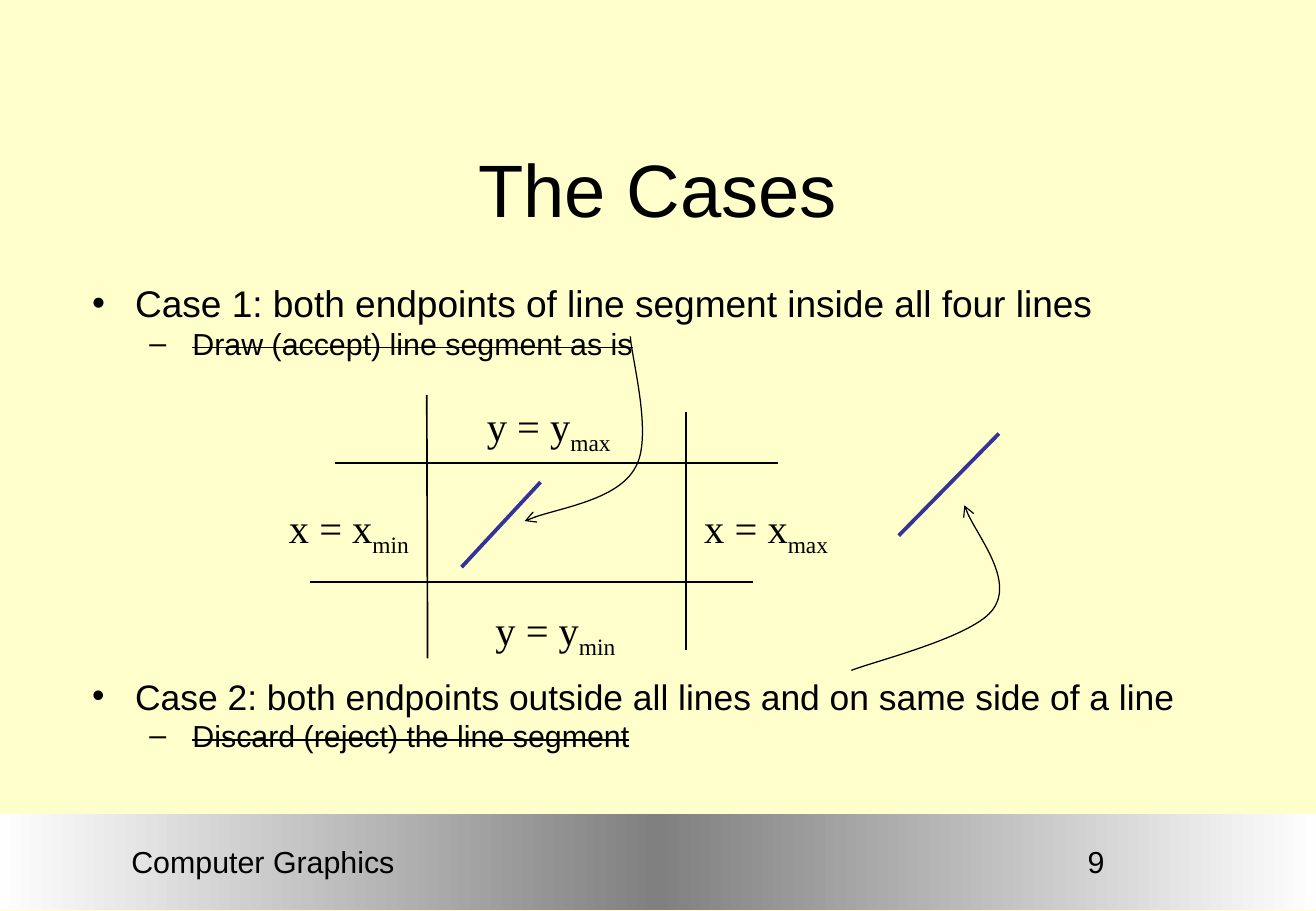
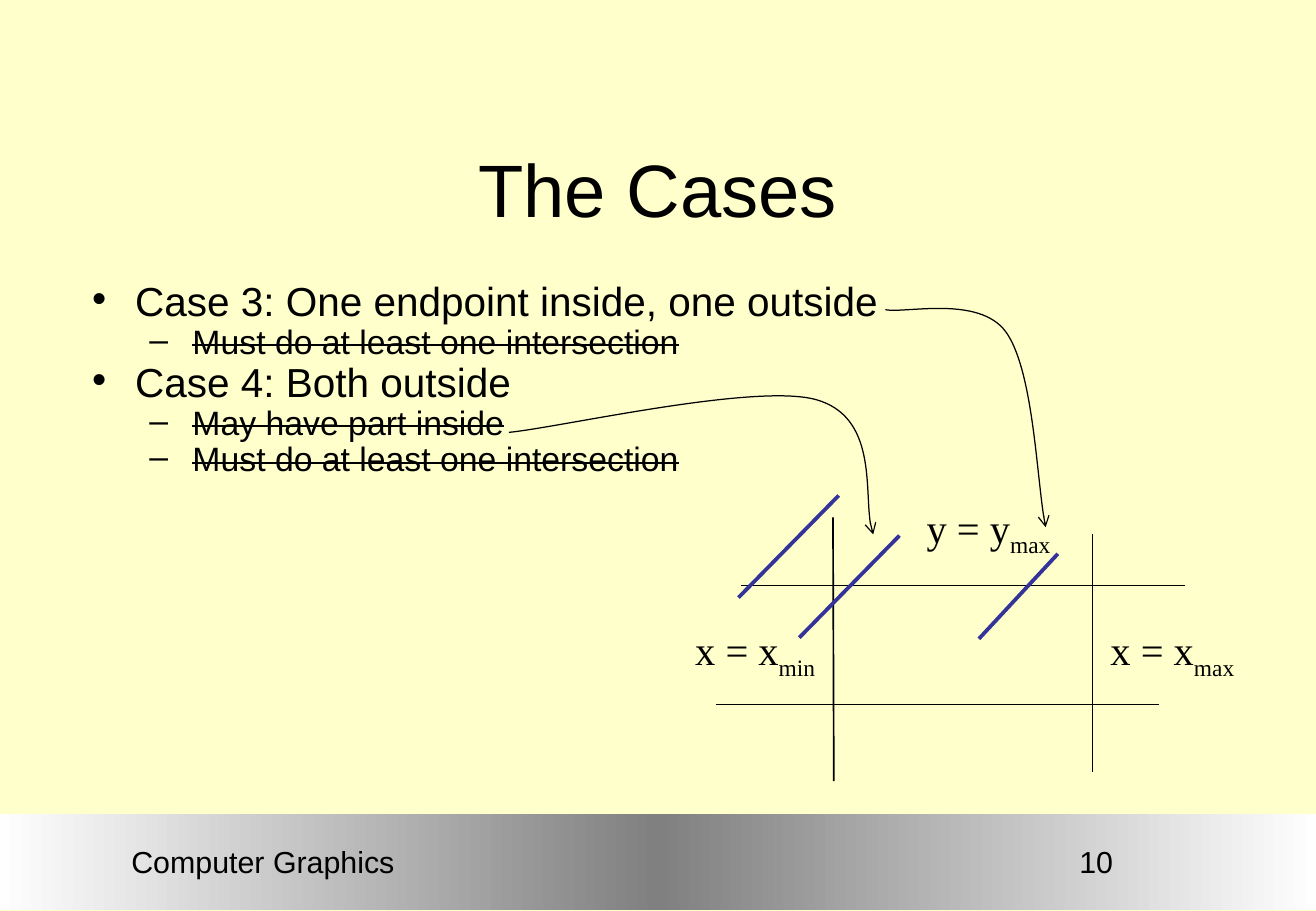
"""Builds two slides on the four cases of clipping a line segment to a window."""
from lxml.etree import SubElement
from copy import deepcopy
from pptx import Presentation
from pptx.dml.color import RGBColor
from pptx.enum.shapes import MSO_CONNECTOR, MSO_SHAPE
from pptx.enum.text import MSO_ANCHOR, MSO_AUTO_SIZE, PP_ALIGN
from pptx.oxml.ns import qn
from pptx.util import Pt

COLORS = {"paper": "FFFFCC", "ink": "000000", "segment": "333399",
          "band_edge": "FEFEFE", "band_middle": "808080"}
RGB = {name: RGBColor.from_string(value) for name, value in COLORS.items()}
SANS, SERIF = "Arial", "Times New Roman"
WIDTH, HEIGHT = 780.12, 540

WINDOW_LINES = [(-54.3, 0, 208.5, 0), (153.8, -30.2, 153.8, 110.9),
                (0, -40.3, 0.5, 116), (-69.4, 70.6, 193.4, 70.6)]
X_LABELS = [("x", "max", 157.4, 20.2), ("x", "min", -88.8, 20.2)]
SHORT, LONG = (46.8, -50.4), (59.4, -60.5)
HANGING = -25.5
INDENTS = [("•", 34), ("–", 68)]

CASES = [
    {"number": "9", "spacing": 0.8, "body_height": 304,
     "points": [(0, "Case 1: both endpoints of line segment inside all four lines", 22, 5.5),
                (1, "Draw (accept) line segment as is", 18, 4.5),
                (0, "Case 2: both endpoints outside all lines and on same side of a line", 21, 190.5),
                (1, "Discard (reject) the line segment", 18, 4.5)],
     "window": (253, 274.3),
     "y_labels": [("y", "max", 28.5, -40.3), ("y", "min", 33.6, 80.7)],
     "segments": [(273.6, 336.2, SHORT), (532.8, 317.5, LONG)],
     "curves": [[(373.7, 199.4), (374.4, 212.4), (387.4, 259.2), (376.6, 277.2),
                 (366.5, 295.9), (324.7, 302.4), (311, 308.9)],
                [(504.7, 397.4), (519.1, 391.7), (578.2, 377.3), (589, 360.7),
                 (600.5, 344.2), (575.3, 311.8), (571.7, 299.5)]]},
    {"number": "10", "spacing": 0.7, "body_height": 132,
     "points": [(0, "Case 3: One endpoint inside, one outside", 24, 6),
                (1, "Must do at least one intersection", 20, 5),
                (0, "Case 4: Both outside", 24, 6),
                (1, "May have part inside", 20, 5),
                (1, "Must do at least one intersection", 20, 5)],
     "window": (493.8, 347),
     "y_labels": [("y", "max", 48.4, -52.5)],
     "segments": [(580.3, 378.7, SHORT), (473.8, 378, LONG), (437.8, 354.2, LONG)],
     "curves": [[(524.9, 183.6), (537.1, 185.8), (580.3, 175), (596.2, 196.6),
                 (612, 218.2), (614.9, 288.7), (619.9, 312.5)],
                [(301.7, 256.3), (331.9, 253.4), (447.8, 226.8), (483.8, 236.9),
                 (519.8, 247), (511.2, 300.2), (517.7, 316.8)]]},
]


def set_font(paragraph, size, face=SANS):
    for run in paragraph.runs:
        run.font.size, run.font.name = Pt(size), face
        run.font.color.rgb = RGB["ink"]


def add_line(shapes, start_x, start_y, end_x, end_y, color, weight):
    line = shapes.add_connector(MSO_CONNECTOR.STRAIGHT, Pt(start_x), Pt(start_y),
                                Pt(end_x), Pt(end_y))
    line.line.color.rgb, line.line.width = RGB[color], Pt(weight)
    SubElement(line.element.spPr, qn("a:effectLst"))


prs = Presentation()
prs.slide_width, prs.slide_height = Pt(WIDTH), Pt(HEIGHT)
paper = prs.slide_master.background.fill
paper.solid()
paper.fore_color.rgb = RGB["paper"]

for case in CASES:
    slide = prs.slides.add_slide(prs.slide_layouts[5])
    shapes = slide.shapes

    band = shapes.add_shape(MSO_SHAPE.RECTANGLE, 0, Pt(482.4), Pt(780), Pt(56.9))
    band.shadow.inherit = False
    band.line.fill.background()
    band.fill.gradient()
    band.fill.gradient_angle = 0
    stop_list = next(band.element.iter(qn("a:gsLst")))
    stop_list.insert(1, deepcopy(stop_list[0]))
    for stop, place, color in zip(band.fill.gradient_stops, (0, 0.5, 1),
                                  ("band_edge", "band_middle", "band_edge")):
        stop.position, stop.color.rgb = place, RGB[color]

    for text, left, width in [(case["number"], 558.7, 182.2), ("Computer Graphics", 32.4, 247)]:
        footer = shapes.add_textbox(Pt(left), Pt(491.8), Pt(width), Pt(37.4)).text_frame
        footer.word_wrap, footer.vertical_anchor = True, MSO_ANCHOR.MIDDLE
        footer.text = text
        footer.paragraphs[0].alignment = PP_ALIGN.CENTER
        set_font(footer.paragraphs[0], 18)

    title = shapes.title
    title.left, title.top, title.width, title.height = Pt(39), Pt(66.2), Pt(702), Pt(90)
    heading = title.text_frame
    heading.text = "The Cases"
    heading.auto_size, heading.vertical_anchor = MSO_AUTO_SIZE.NONE, MSO_ANCHOR.MIDDLE
    heading.paragraphs[0].alignment = PP_ALIGN.CENTER
    set_font(heading.paragraphs[0], 44)

    body = shapes.add_textbox(Pt(39), Pt(167.8), Pt(702), Pt(case["body_height"]))
    body.text_frame.word_wrap = True
    body.text_frame.text = "\n".join(text for _, text, _, _ in case["points"])
    for paragraph, (level, _, size, before) in zip(body.text_frame.paragraphs, case["points"]):
        paragraph.level, paragraph.line_spacing = level, case["spacing"]
        paragraph.space_before = Pt(before)
        set_font(paragraph, size)
    for node, (level, _, _, _) in zip(body.element.iter(qn("a:p")), case["points"]):
        bullet, margin = INDENTS[level]
        layout = node.find(qn("a:pPr"))
        layout.set("marL", str(Pt(margin)))
        layout.set("indent", str(Pt(HANGING)))
        SubElement(layout, qn("a:buFont"), typeface=SANS)
        SubElement(layout, qn("a:buChar"), char=bullet)
        if level:
            next(node.iter(qn("a:rPr"))).set("strike", "sngStrike")

    window_x, window_y = case["window"]
    for x1, y1, x2, y2 in WINDOW_LINES:
        add_line(shapes, window_x + x1, window_y + y1, window_x + x2, window_y + y2, "ink", 1)

    for axis, limit, dx, dy in X_LABELS + case["y_labels"]:
        label = shapes.add_textbox(Pt(window_x + dx), Pt(window_y + dy), Pt(92), Pt(40.3))
        label.text_frame.word_wrap = True
        equation = label.text_frame.paragraphs[0]
        equation.text = f"{axis} = {axis}"
        equation.add_run().text = limit
        set_font(equation, 24, SERIF)
        list(label.element.iter(qn("a:rPr")))[-1].set("baseline", "-25000")

    for x, y, (dx, dy) in case["segments"]:
        add_line(shapes, x, y, x + dx, y + dy, "segment", 2.25)

    for curve in case["curves"]:
        start, *others = [(Pt(x), Pt(y)) for x, y in curve]
        builder = shapes.build_freeform(*start)
        builder.add_line_segments(others, close=False)
        arrow = builder.convert_to_shape()
        arrow.shadow.inherit = False
        arrow.fill.background()
        arrow.line.color.rgb, arrow.line.width = RGB["ink"], Pt(0.75)
        SubElement(next(arrow.element.iter(qn("a:ln"))), qn("a:tailEnd"), type="arrow")
        outline = next(arrow.element.iter(qn("a:path")))
        steps = outline.findall(qn("a:lnTo"))
        for first in range(0, len(steps), 3):
            bend = SubElement(outline, qn("a:cubicBezTo"))
            for step in steps[first:first + 3]:
                bend.append(step[0])
                outline.remove(step)

prs.save("out.pptx")
